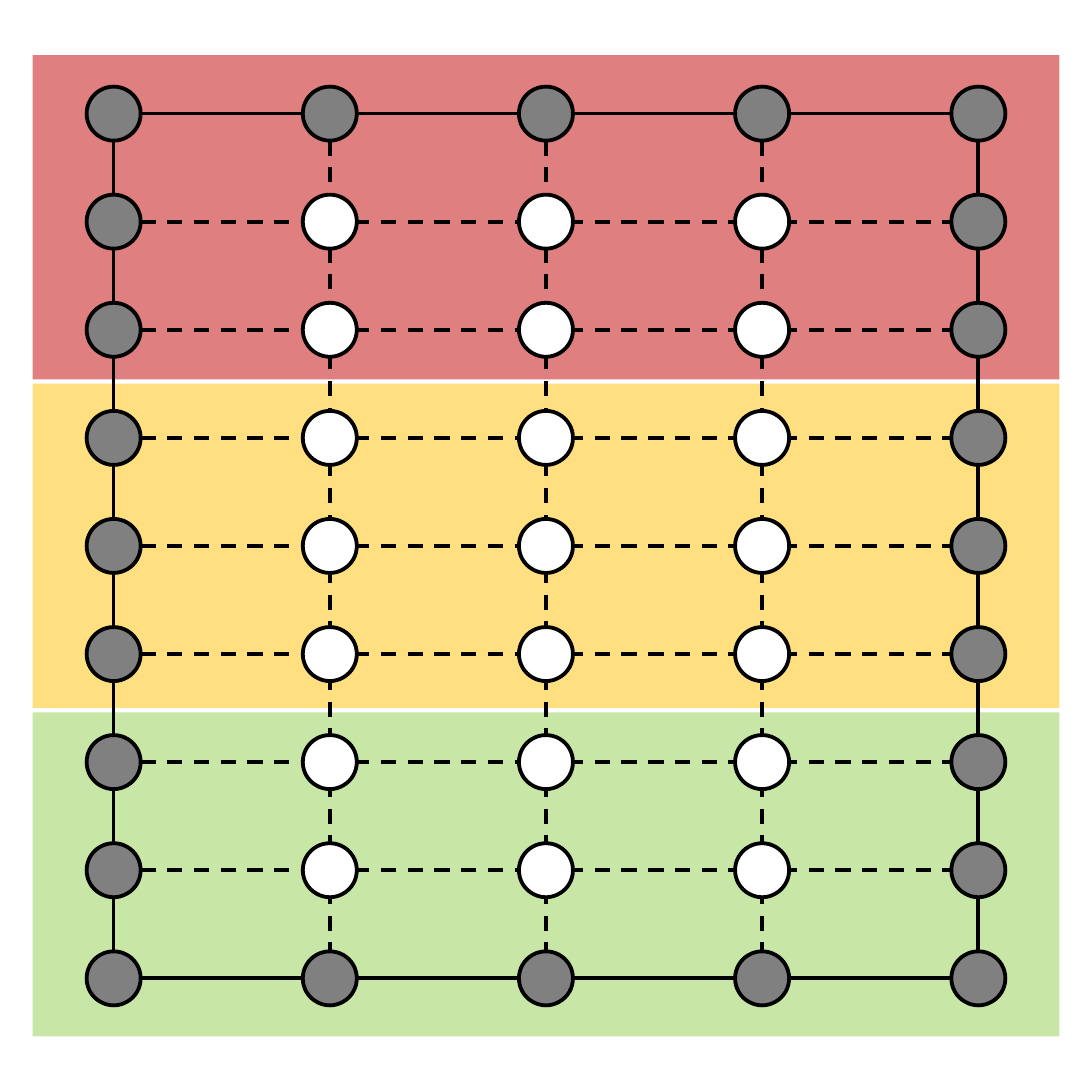
from dataclasses import dataclass
from itertools import product
from typing import Any, Optional

from lxml import etree
from pptx import Presentation
from pptx.dml.color import RGBColor
from pptx.enum.dml import MSO_LINE
from pptx.enum.shapes import MSO_CONNECTOR, MSO_SHAPE
from pptx.oxml.ns import qn
from pptx.util import Inches, Pt

RECTANGLE = MSO_SHAPE.RECTANGLE
OVAL = MSO_SHAPE.OVAL
STRAIGHT = MSO_CONNECTOR.STRAIGHT
DASH = MSO_LINE.DASH

BLACK = RGBColor(0x00, 0x00, 0x00)
WHITE = RGBColor(0xFF, 0xFF, 0xFF)
GREY = RGBColor(0x80, 0x80, 0x80)
RED = RGBColor(0xC0, 0x00, 0x00)
AMBER = RGBColor(0xFF, 0xC0, 0x00)
GREEN = RGBColor(0x92, 0xD0, 0x50)

# Grid: lengths in inches, counts in steps, measured from the slide's centre
SIDE = 3.94
ROW = 0.39
COLUMN = 2 * ROW
LAST_ROW, LAST_COLUMN = 8, 4
DOT = ROW / 2
BAND_WIDTH, BAND_HEIGHT, BAND_PITCH = 9.5 * ROW, 3 * ROW, 3.04 * ROW

SOLID_LINE = {"width": Pt(1)}
DASHED_LINE = {"width": Pt(1), "dash_style": DASH}


@dataclass(frozen=True)
class Box:
    """A shape placed by its centre."""
    kind: Any
    x: float
    y: float
    width: float
    height: float
    fill: Optional[RGBColor] = None
    opacity: Optional[int] = None
    outlined: bool = True


def column_x(column: int) -> float:
    return SIDE / 2 + (column - LAST_COLUMN / 2) * COLUMN


def row_y(row: int) -> float:
    return SIDE / 2 + (row - LAST_ROW / 2) * ROW


def style_line(line: Any, line_format: dict[str, Any]) -> None:
    line.color.rgb = BLACK
    for name, value in line_format.items():
        setattr(line, name, value)


def draw_box(shapes: Any, box: Box) -> None:
    shape = shapes.add_shape(
        box.kind, Inches(box.x - box.width / 2), Inches(box.y - box.height / 2),
        Inches(box.width), Inches(box.height))
    shape.shadow.inherit = False
    if box.fill is None:
        shape.fill.background()
    else:
        shape.fill.solid()
        shape.fill.fore_color.rgb = box.fill
    if box.opacity is not None:
        color = shape.fill._xPr.find(f"{qn('a:solidFill')}/{qn('a:srgbClr')}")
        etree.SubElement(color, qn("a:alpha"), val=str(box.opacity * 1000))
    if box.outlined:
        style_line(shape.line, SOLID_LINE)
    else:
        shape.line.fill.background()


def draw_grid_line(shapes: Any, start: tuple[int, int], end: tuple[int, int]) -> None:
    ends = [Inches(length) for column, row in (start, end)
            for length in (column_x(column), row_y(row))]
    connector = shapes.add_connector(STRAIGHT, *ends)
    style_line(connector.line, DASHED_LINE)
    etree.SubElement(connector._element.spPr, qn("a:effectLst"))


def draw_dot(shapes: Any, column: int, row: int, fill: RGBColor) -> None:
    draw_box(shapes, Box(OVAL, column_x(column), row_y(row), DOT, DOT, fill))


def is_border(column: int, row: int) -> bool:
    return column in (0, LAST_COLUMN) or row in (0, LAST_ROW)


def main() -> None:
    deck = Presentation()
    deck.slide_width = deck.slide_height = Inches(SIDE)
    page = deck.slides.add_slide(deck.slide_layouts[6])
    shapes = page.shapes

    # Coloured bands
    for offset, color in ((-1, RED), (0, AMBER), (1, GREEN)):
        draw_box(shapes, Box(RECTANGLE, SIDE / 2, SIDE / 2 + offset * BAND_PITCH,
                             BAND_WIDTH, BAND_HEIGHT, color, 50, False))

    # Dashed inner lines
    for column in range(1, LAST_COLUMN):
        draw_grid_line(shapes, (column, 0), (column, LAST_ROW))
    for row in range(1, LAST_ROW):
        draw_grid_line(shapes, (0, row), (LAST_COLUMN, row))

    # Solid frame
    draw_box(shapes, Box(RECTANGLE, SIDE / 2, SIDE / 2,
                         LAST_COLUMN * COLUMN, LAST_ROW * ROW))

    # White inner dots, then the group of grey border dots
    nodes = list(product(range(LAST_COLUMN + 1), range(LAST_ROW + 1)))
    for column, row in nodes:
        if not is_border(column, row):
            draw_dot(shapes, column, row, WHITE)
    border = shapes.add_group_shape()
    for column, row in nodes:
        if is_border(column, row):
            draw_dot(border.shapes, column, row, GREY)

    deck.save("out.pptx")


if __name__ == "__main__":
    main()
